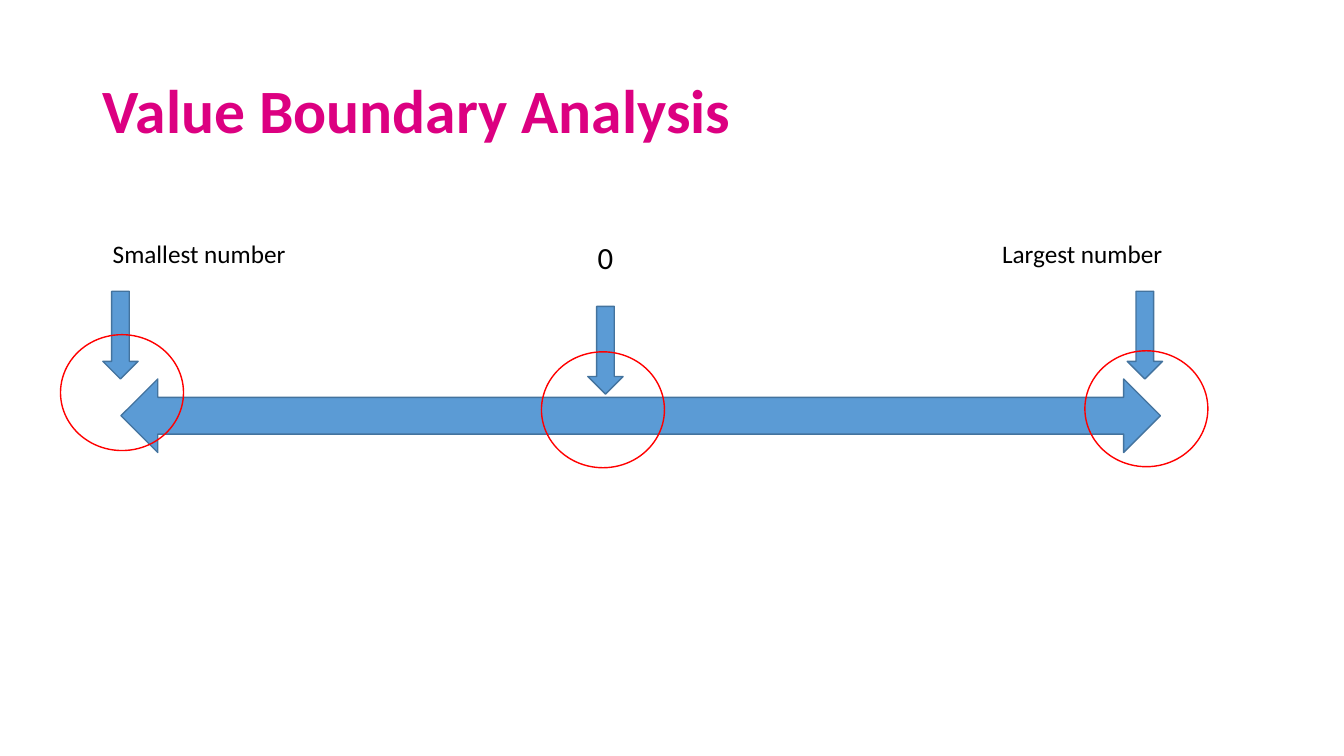
import pptx
import pptx.dml.color
import pptx.enum.shapes
import pptx.enum.text
import pptx.util

Inches = pptx.util.Inches
RGBColor = pptx.dml.color.RGBColor
SHAPES = pptx.enum.shapes.MSO_SHAPE

MAGENTA = RGBColor(0xDC, 0x00, 0x81)
BLUE = RGBColor(0x5B, 0x9B, 0xD5)
DARK_BLUE = RGBColor(0x43, 0x73, 0x9E)
RED = RGBColor(0xFF, 0x00, 0x00)
BLACK = RGBColor(0x00, 0x00, 0x00)


def add_run(paragraph, text, size, color, bold=False):
    """Add one formatted Calibri run to a paragraph."""
    run = paragraph.add_run()
    run.text = text
    run.font.name = "Calibri"
    run.font.size = pptx.util.Pt(size)
    run.font.bold = bold
    run.font.color.rgb = color


def add_outline(slide, kind, box, line, fill=None):
    """Add a preset shape with a thin line and an optional fill."""
    shape = slide.shapes.add_shape(kind, *map(Inches, box))
    shape.shadow.inherit = False
    if fill is None:
        shape.fill.background()
    else:
        shape.fill.solid()
        shape.fill.fore_color.rgb = fill
    shape.line.color.rgb = line
    shape.line.width = pptx.util.Pt(1)


def add_label(slide, box, text, size):
    """Add a one-line label that fits its text."""
    frame = slide.shapes.add_textbox(*map(Inches, box)).text_frame
    frame.word_wrap = False
    frame.auto_size = pptx.enum.text.MSO_AUTO_SIZE.SHAPE_TO_FIT_TEXT
    add_run(frame.paragraphs[0], text, size, BLACK)


def add_title(slide, box, text):
    """Place and fill the title placeholder."""
    title = slide.shapes.title
    title.left, title.top, title.width, title.height = map(Inches, box)
    frame = title.text_frame
    frame.vertical_anchor = pptx.enum.text.MSO_ANCHOR.MIDDLE
    paragraph = frame.paragraphs[0]
    paragraph.alignment = pptx.enum.text.PP_ALIGN.LEFT
    paragraph.line_spacing = 0.9
    add_run(paragraph, text, 44, MAGENTA, bold=True)


def add_number_line(slide, box):
    """Draw the number line with labelled, circled boundaries inside a box."""
    left, top, width, height = box
    add_outline(slide, SHAPES.LEFT_RIGHT_ARROW,
                (left + 0.6, top + 1.44, width - 1.07, 0.73), DARK_BLUE, BLUE)
    boundaries = [
        ("0", 18 + 4, (5.23, 0.36, 0.47), (5.23, 0.72), (4.77, 1.17)),
        ("Largest number", 18, (9.24, 1.81, 0.4), (10.58, 0.57), (10.16, 1.16)),
        ("Smallest number", 18, (0.42, 1.93, 0.4), (0.42, 0.57), (0, 1)),
    ]
    for text, size, (label_x, label_width, label_height), arrow, _ in boundaries:
        add_outline(slide, SHAPES.DOWN_ARROW,
                    (left + arrow[0], top + arrow[1], 0.35, 0.87), DARK_BLUE, BLUE)
        add_label(slide, (left + label_x, top, label_width, label_height), text, size)
    for *_, (circle_x, circle_y) in boundaries:
        add_outline(slide, SHAPES.FLOWCHART_CONNECTOR,
                    (left + circle_x, top + circle_y, 1.22, 1.15), RED)


def main():
    """Build and save the presentation."""
    presentation = pptx.Presentation()
    presentation.slide_width = Inches(13.33)
    presentation.slide_height = Inches(7.5)
    slide = presentation.slides.add_slide(presentation.slide_layouts[5])
    add_title(slide, (0.92, 0.4, 11.5, 1.45), "Value Boundary Analysis")
    add_number_line(slide, (0.6, 2.32, 11.38, 2.32))
    presentation.save("out.pptx")


if __name__ == "__main__":
    main()
